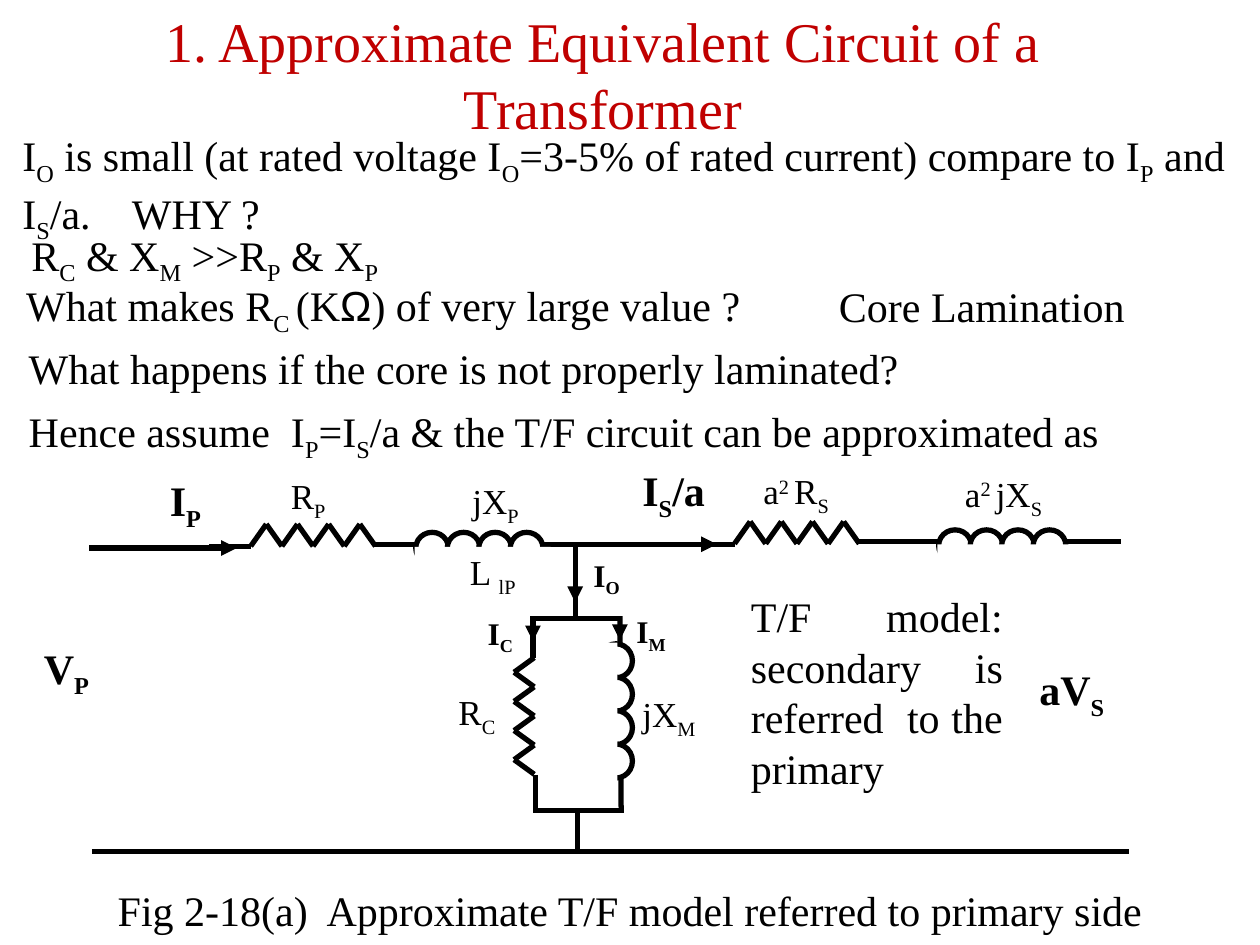
from pptx import Presentation
from pptx.dml.color import RGBColor
from pptx.enum.shapes import MSO_CONNECTOR as Connector, MSO_SHAPE as Shape
from pptx.enum.text import PP_ALIGN as Align
from pptx.oxml.ns import qn
from pptx.util import Inches, Pt
from lxml import etree

BLACK = RGBColor(0x00, 0x00, 0x00)
WHITE = RGBColor(0xFF, 0xFF, 0xFF)
RED = RGBColor(0xC0, 0x00, 0x00)
SERIF, SANS = "Times New Roman", "Arial"
COLUMNS, ROWS = 100, 75
STROKE = 3
TURNS = 4
BASELINES = {"_": "-25000", "^": "30000"}


def cells(count):
    """Length of a number of grid cells; the slide is 100 by 75 cells."""
    return Inches(count / 10)


def write(slide, box, text, size=24, bold=False, color=BLACK,
          align=Align.LEFT, margins=(1, 0.5)):
    """Pieces are split by |; _ marks subscript, ^ superscript, ~ sans serif."""
    frame = slide.shapes.add_textbox(*map(cells, box)).text_frame
    frame.word_wrap = True
    frame.margin_left = frame.margin_right = cells(margins[0])
    frame.margin_top = frame.margin_bottom = cells(margins[1])
    paragraph = frame.paragraphs[0]
    paragraph.alignment = align
    for piece in text.split("|"):
        mark = piece[0] if piece[0] in "_^~" else ""
        run = paragraph.add_run()
        run.text = piece[len(mark):]
        run.font.size = Pt(size)
        run.font.bold = bold
        run.font.name = SANS if mark == "~" else SERIF
        run.font.color.rgb = color
        if mark in BASELINES:
            run._r.get_or_add_rPr().set("baseline", BASELINES[mark])


def wire(slide, x1, y1, x2, y2, arrow=False):
    line = slide.shapes.add_connector(
        Connector.STRAIGHT, *map(cells, (x1, y1, x2, y2)))
    line.line.color.rgb = BLACK
    line.line.width = Pt(STROKE)
    if arrow:
        etree.SubElement(line.line._get_or_add_ln(), qn("a:tailEnd"), type="triangle")
    etree.SubElement(line._element.spPr, qn("a:effectLst"))


def white_shape(slide, kind, box, outlined):
    shape = slide.shapes.add_shape(kind, *map(cells, box))
    shape.shadow.inherit = False
    shape.fill.solid()
    shape.fill.fore_color.rgb = WHITE
    if outlined:
        shape.line.color.rgb = BLACK
        shape.line.width = Pt(STROKE)
    else:
        shape.line.fill.background()


def resistor(slide, box, upright=False):
    left, top, width, height = box
    steps = 2 * TURNS
    if upright:
        points = [(left + width * (i % 2 == 0), top + height * i / steps)
                  for i in range(steps + 1)]
    else:
        points = [(left + width * i / steps, top + height * (i % 2 == 0))
                  for i in range(steps + 1)]
    for start, end in zip(points, points[1:]):
        wire(slide, *start, *end)


def coil(slide, left, top, upright=False):
    """A row of rings, half of it hidden by a white band."""
    pitch = 2.65 if upright else 2.5
    for turn in range(TURNS):
        dx, dy = (0, turn * pitch) if upright else (turn * pitch, 0)
        size = (2.6, 2.7) if upright else (2.6, 2.5)
        white_shape(slide, Shape.OVAL, (left + dx, top + dy, *size), True)
    band = ((left - 0.5, top - 0.1, 1.9, 11.5) if upright
            else (left - 0.1, top + 1.15, 10.8, 1.9))
    white_shape(slide, Shape.RECTANGLE, band, False)


def series_arm(slide, left, top, wire_start, coil_start):
    """Resistor and coil in one line; starts are columns from the left."""
    wire(slide, left - 3.3, top + 1.8, left, top + 1.8)
    resistor(slide, (left, top, 9.9, 1.75))
    wire(slide, left + 9.8, top + 1.6, left + 13.5, top + 1.6)
    wire(slide, left + wire_start, top + 1.6, left + wire_start + 18, top + 1.6)
    coil(slide, left + coil_start, top + 0.65)


def shunt_branch(slide, left, top, width, height):
    """Core resistance and magnetising coil between the two rails."""
    right, middle, bottom = left + width, left + width / 2, top + height
    fork, join = top + 5.9, bottom - 3.3
    wire(slide, left, fork, left, fork + 1.8, arrow=True)
    wire(slide, right, fork + 0.8, right, fork + 1.7, arrow=True)
    wire(slide, right, fork - 0.2, right + 0.1, join + 0.2)
    wire(slide, middle - 0.1, top, middle - 0.1, fork)
    wire(slide, middle + 0.1, join, middle + 0.1, bottom)
    coil(slide, right - 1.6, fork + 2, upright=True)
    resistor(slide, (left - 1.5, fork + 3.1, 1.6, 9.25), upright=True)
    wire(slide, left + 0.2, fork + 12.4, left + 0.2, join + 0.2)
    wire(slide, left, fork - 0.2, left, fork + 3.1)
    wire(slide, left + 0.2, join, right + 0.3, join)
    wire(slide, left - 0.2, fork, right + 0.1, fork)
    wire(slide, middle - 0.1, top + 1.3, middle - 0.1, top + 4.6, arrow=True)


def circuit_labels(slide, left, top):
    # Voltages and line currents
    for x, y, width, text in [
            (47.5, 0, 7.5, "I|_S|/a"), (10, 0.8, 6.5, "I|_P"),
            (0, 14.1, 6.5, "V|_P"), (79, 15.8, 9.2, "aV|_S")]:
        write(slide, (left + x, top + y, width, 5.6), text, bold=True)
    # Impedances
    for x, y, width, text in [
            (19.6, 0.8, 6.3, "R|_P"), (34, 1.2, 6.2, "jX|_P"),
            (33.8, 6.8, 6.2, "L |_lP"), (57.1, 0.4, 8.8, "a|^2 |R|_S"),
            (73.1, 0.6, 9.8, "a|^2 |jX|_S"), (32.9, 17.9, 5.4, "R|_C"),
            (47.5, 18.1, 6.6, "jX|_M")]:
        write(slide, (left + x, top + y, width, 4.8), text, size=20)
    # Branch currents
    for x, y, width, text in [
            (44.6, 7.7, 5.3, "I|_O"), (48, 12.2, 3.7, "I|_M"),
            (36.2, 12.3, 2.2, "I|_C")]:
        write(slide, (left + x, top + y, width, 3.4), text, size=18,
              bold=True, margins=(0, 0))


def circuit(slide, left, top, width):
    rail, ground = top + 6.8, top + 31.2
    wire(slide, left + 4.8, ground, left + width, ground)
    wire(slide, left + 46, rail, left + 54.6, rail)
    series_arm(slide, left + 55.8, top + 5, 12.7, 16.2)
    series_arm(slide, left + 17.4, top + 5.2, 10.9, 13.1)
    wire(slide, left + 4.6, top + 7.1, left + 16.3, top + 7.1, arrow=True)
    wire(slide, left + 48.8, rail, left + 54.4, rail, arrow=True)
    shunt_branch(slide, left + 39.8, rail, 6.9, ground - rail)
    circuit_labels(slide, left, top)
    write(slide, (left + 57.1, top + 10, 20, 17),
          "T/F model: secondary is referred  to the primary",
          align=Align.JUSTIFY, margins=(0, 0.5))


def explanation(slide, left, top):
    for x, y, width, height, text in [
            (0, 0, 100, 10.1, "I|_O| is small (at rated voltage I|_O|=3-5% of rated "
             "current) compare to I|_P| and I|_S|/a.    WHY ?"),
            (0.7, 7.9, 41.7, 5.6, "R|_C| & X|_M| >>R|_P| & X|_P"),
            (0.3, 11.9, 64.6, 5.6,
             "What makes R|_C |(K|~Ω|) of very large value ?"),
            (64.8, 12, 27.5, 5, "Core Lamination"),
            (0.5, 16.9, 78.7, 5,
             "What happens if the core is not properly laminated?"),
            (0.5, 21.9, 98.7, 5.6, "Hence assume  I|_P|=I|_S|/a & the T/F circuit "
             "can be approximated as")]:
        write(slide, (left + x, top + y, width, height), text)


def main():
    deck = Presentation()
    deck.slide_width, deck.slide_height = cells(COLUMNS), cells(ROWS)
    slide = deck.slides.add_slide(deck.slide_layouts[6])
    write(slide, (8.2, 0, 79.3, 11.7),
          "1. Approximate Equivalent Circuit of a Transformer",
          size=32, color=RED, align=Align.CENTER)
    explanation(slide, 0.8, 9.8)
    circuit(slide, 2.5, 36.4, 87.1)
    write(slide, (0, 69.7, COLUMNS, 5),
          "Fig 2-18(a)  Approximate T/F model referred to primary side",
          align=Align.CENTER)
    deck.save("out.pptx")


if __name__ == "__main__":
    main()
